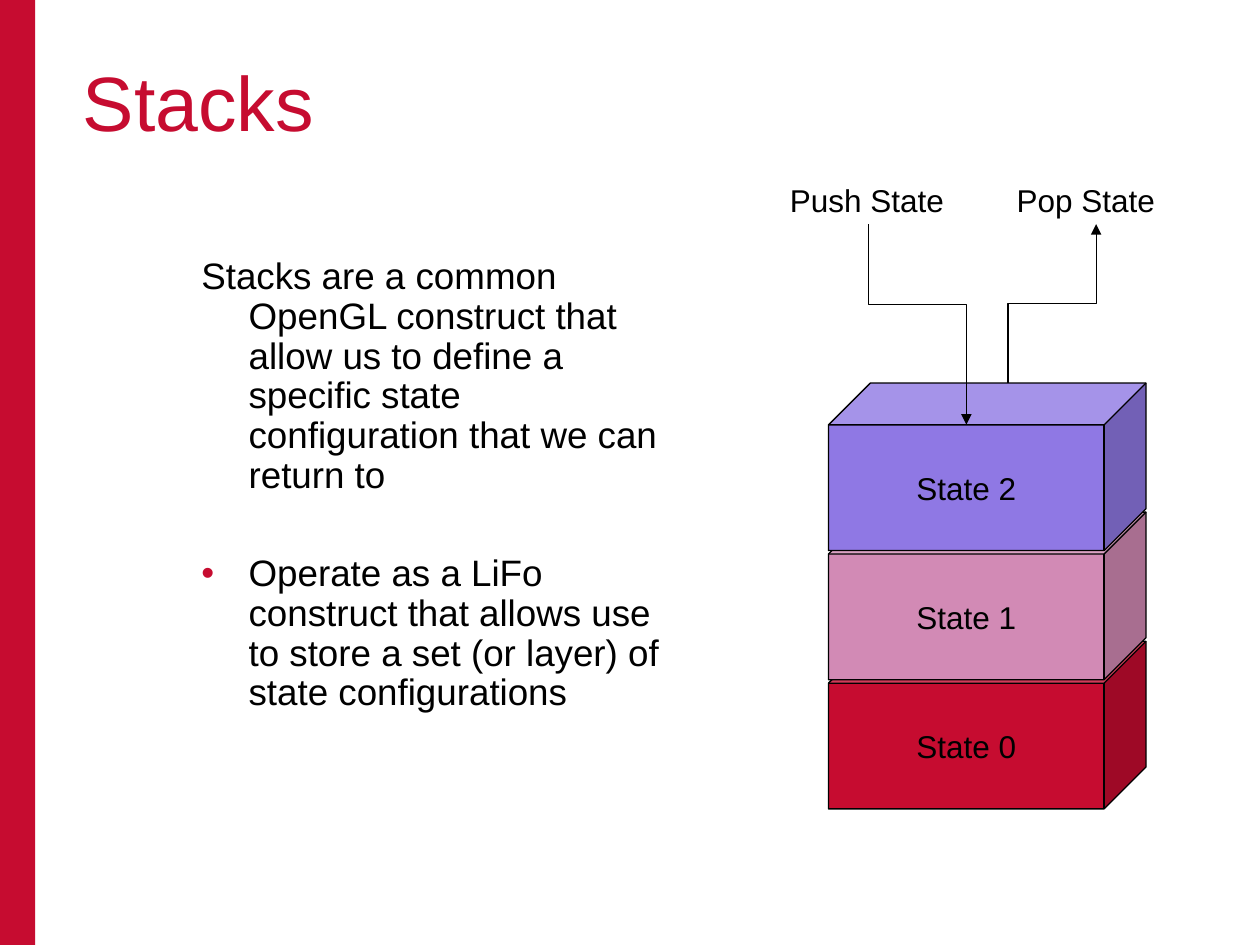
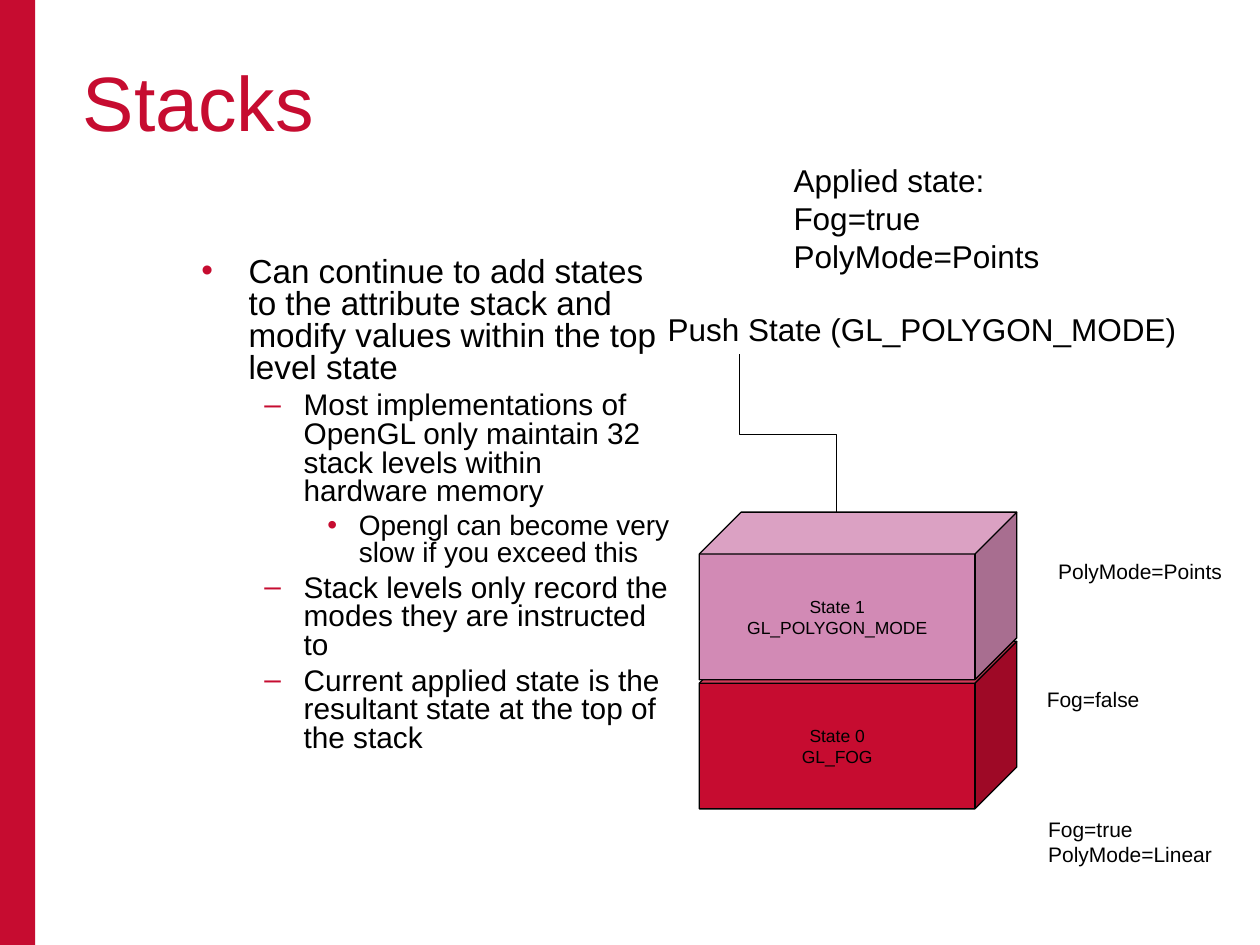
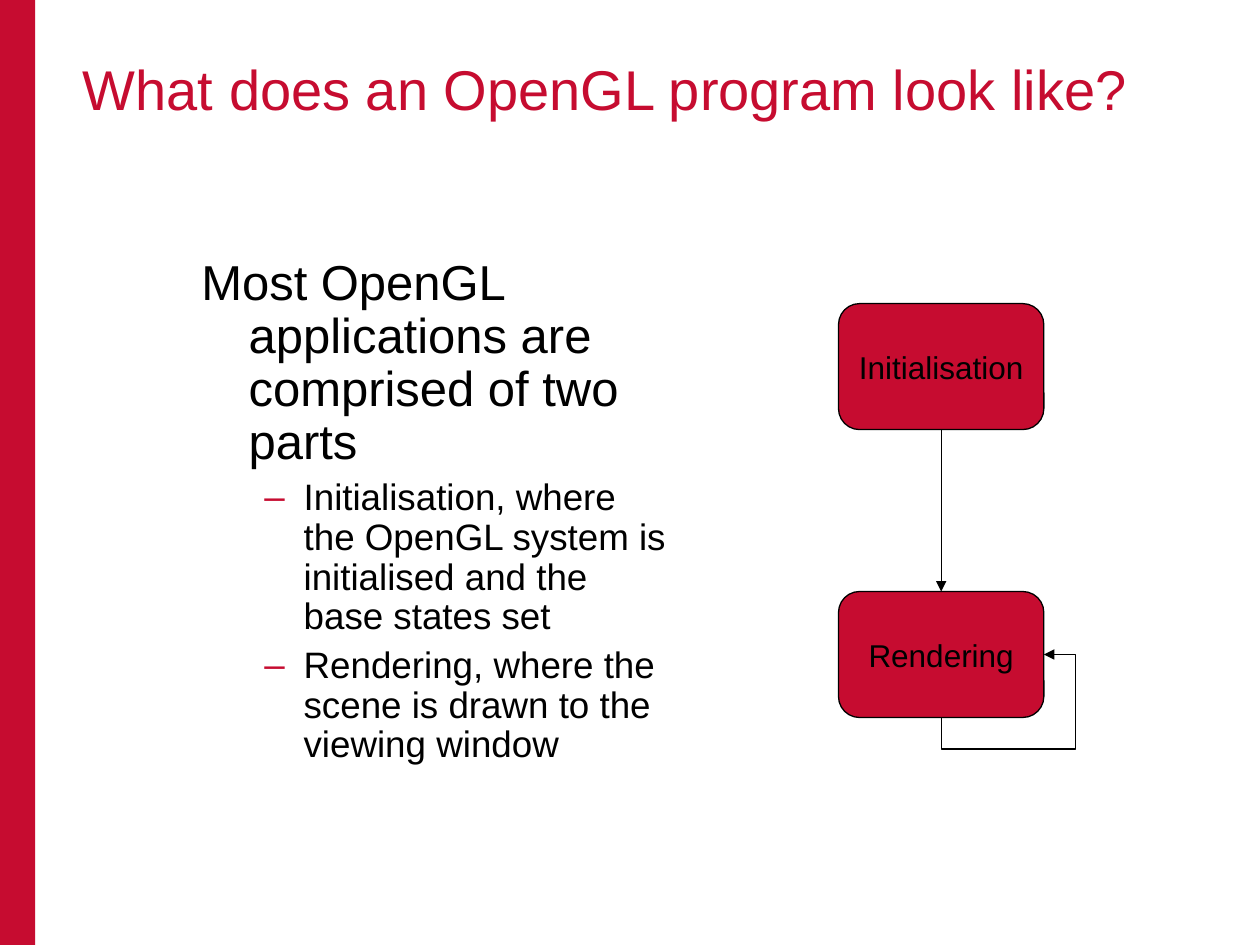
from lxml import etree
from pptx import Presentation
from pptx import util as u
from pptx.dml.color import RGBColor
from pptx.enum import shapes, text
from pptx.oxml.ns import qn

RED, PINK, VIOLET, BLACK = "C60C30", "D28AB5", "8F78E4", "000000"
COLUMNS, ROWS = 100, 75
CUBE_LEFT, CUBE_TOP, CUBE_STEP = 65.75, 50.9, 10.25
# Indent and hanging first line of each outline level, in grid columns
INDENTS = [(3.75, 3.75), (8.12, 3.12), (12.5, 2.5)]
BULLETS = ["•", "–", "•"]


def color(value):
    """Turn a hex string into a colour."""
    return RGBColor.from_string(value)


class Deck:
    """Holds the shared style and the current slide."""

    font = "Arial"
    line_width = 0.74

    def __init__(self):
        """Open an empty deck of 10 by 7.5 inches."""
        self.file = Presentation()
        self.file.slide_width = u.Inches(10)
        self.file.slide_height = u.Inches(7.5)
        self.page = None

    def x(self, columns):
        """Convert grid columns to a length."""
        return round(self.file.slide_width * columns / COLUMNS)

    def y(self, rows):
        """Convert grid rows to a length."""
        return round(self.file.slide_height * rows / ROWS)

    def place(self, left, top, width, height):
        """Convert a grid rectangle to lengths."""
        return self.x(left), self.y(top), self.x(width), self.y(height)

    def start_page(self, title, size=44):
        """Add a slide with its side band and title."""
        self.page = self.file.slides.add_slide(self.file.slide_layouts[6])
        self.shape(shapes.MSO_SHAPE.RECTANGLE, (0, 0, 2.8, ROWS), RED, outlined=False)
        self.label(title, (5.6, 3.8, 89.4, 16.1), size, RED, wrap=True)

    def style(self, para, size, ink=BLACK):
        """Format every run of a paragraph."""
        for span in para.runs:
            span.font.name = self.font
            span.font.size = u.Pt(size)
            span.font.color.rgb = color(ink)

    def label(self, words, area, size, ink=BLACK, wrap=False):
        """Add plain text, one paragraph per line."""
        box = self.page.shapes.add_textbox(*self.place(*area))
        frame = box.text_frame
        frame.text = words
        frame.word_wrap = wrap
        if not wrap:
            frame.auto_size = text.MSO_AUTO_SIZE.SHAPE_TO_FIT_TEXT
        for para in frame.paragraphs:
            self.style(para, size, ink)

    def outline(self, items, spacing):
        """Add the body text from (words, level, bulleted, size, space before)."""
        box = self.page.shapes.add_textbox(*self.place(15, 20, 39.3, 45))
        frame = box.text_frame
        frame.word_wrap = True
        frame.text = "\n".join(item[0] for item in items)
        for para, (_, level, bulleted, size, before) in zip(frame.paragraphs, items):
            para.level = level
            para.line_spacing = spacing
            para.space_before = u.Pt(before)
            self.style(para, size)
            margin, hanging = INDENTS[level]
            properties = para._p.get_or_add_pPr()
            properties.set("marL", str(self.x(margin)))
            properties.set("indent", str(-self.x(hanging)))
            if bulleted:
                tint = etree.SubElement(properties, qn("a:buClr"))
                etree.SubElement(tint, qn("a:srgbClr")).set("val", RED)
                etree.SubElement(properties, qn("a:buFont")).set("typeface", self.font)
                etree.SubElement(properties, qn("a:buChar")).set("char", BULLETS[level])

    def shape(self, kind, area, fill, words="", size=18, outlined=True):
        """Add a filled preset shape with centred text."""
        shape = self.page.shapes.add_shape(kind, *self.place(*area))
        shape.shadow.inherit = False
        shape.fill.solid()
        shape.fill.fore_color.rgb = color(fill)
        if outlined:
            shape.line.color.rgb = color(BLACK)
            shape.line.width = u.Pt(self.line_width)
        else:
            shape.line.fill.background()
        if words:
            frame = shape.text_frame
            frame.text = words
            frame.word_wrap = False
            frame.vertical_anchor = text.MSO_ANCHOR.MIDDLE
            for para in frame.paragraphs:
                para.alignment = text.PP_ALIGN.CENTER
                self.style(para, size)

    def cube(self, left, level, fill, words, size=18):
        """Add one state of the stack, counted from the bottom."""
        area = (left, CUBE_TOP - level * CUBE_STEP, 25.2, 13.3)
        self.shape(shapes.MSO_SHAPE.CUBE, area, fill, words, size)

    def arrow(self, start, end, *bends):
        """Add an elbow arrow that leaves its start vertically."""
        (x1, y1), (x2, y2) = start, end
        # A quarter turn swaps the sides around the common centre
        length, breadth = abs(y2 - y1), abs(x2 - x1)
        link = self.page.shapes.add_connector(shapes.MSO_CONNECTOR.ELBOW, 0, 0, 0, 0)
        link.left, link.top, link.width, link.height = self.place(
            (x1 + x2 - length) / 2, (y1 + y2 - breadth) / 2, length, breadth)
        link.line.color.rgb = color(BLACK)
        link.line.width = u.Pt(self.line_width)
        properties = link._element.spPr
        frame = properties.find(qn("a:xfrm"))
        frame.set("rot", str(90 * 60000))
        frame.set("flipH", str(int(y2 < y1)))
        frame.set("flipV", str(int(x2 > x1)))
        geometry = properties.find(qn("a:prstGeom"))
        geometry.set("prst", f"bentConnector{len(bends) + 2}")
        guides = geometry.find(qn("a:avLst"))
        if guides is None:
            guides = etree.SubElement(geometry, qn("a:avLst"))
        for number, bend in enumerate(bends, 1):
            guide = etree.SubElement(guides, qn("a:gd"))
            guide.set("name", f"adj{number}")
            guide.set("fmla", f"val {round(bend * 100000)}")
        line = properties.find(qn("a:ln"))
        etree.SubElement(line, qn("a:tailEnd")).set("type", "triangle")
        etree.SubElement(properties, qn("a:effectLst"))


def stack_page(deck):
    """Build the slide that introduces stacks."""
    deck.start_page("Stacks")
    deck.outline([
        ("Stacks are a common OpenGL construct that allow us to define a specific "
         "state configuration that we can return to", 0, False, 21, 5.2),
        ("Operate as a LiFo construct that allows use to store a set (or layer) of "
         "state configurations", 0, True, 21, 33.5),
    ], 0.9)
    for level, fill in enumerate([RED, PINK, VIOLET]):
        deck.cube(CUBE_LEFT, level, fill, f"State {level}")
    deck.arrow((68.9, 17.8), (76.7, 33.7), 0.4)
    deck.label("Push State", (61.7, 13.9, 14.2, 4), 18)
    deck.arrow((80, 30.4), (87, 17.8), 0.5)
    deck.label("Pop State", (79.7, 13.9, 13, 4), 18)


def attribute_page(deck):
    """Build the slide about the attribute stack."""
    deck.start_page("Stacks")
    deck.outline([
        ("Can continue to add states to the attribute stack and modify values "
         "within the top level state", 0, True, 19, 4.8),
        ("Most implementations of OpenGL only maintain 32 stack levels within "
         "hardware memory", 1, True, 17, 4.2),
        ("Opengl can become very slow if you exceed this", 2, True, 16, 4),
        ("Stack levels only record the modes they are instructed to", 1, True, 17, 4.2),
        ("Current applied state is the resultant state at the top of the stack",
         1, True, 17, 4.2),
    ], 0.8)
    deck.label("Fog=true\nPolyMode=Linear", (82.2, 64.3, 15.1, 5), 12)
    deck.label("Fog=false", (82.1, 54, 9.6, 3), 12)
    deck.arrow((58.7, 28.1), (66.4, 44), 0.4)
    deck.label("Push State (GL_POLYGON_MODE)", (52, 24.1, 42.5, 4), 18)
    deck.label("PolyMode=Points", (83, 43.8, 15.1, 3), 12)
    for level, (fill, mode) in enumerate([(RED, "GL_FOG"), (PINK, "GL_POLYGON_MODE")]):
        deck.cube(CUBE_LEFT - CUBE_STEP, level, fill, f"State {level}\n{mode}", 10)
    deck.label("Applied state:\nFog=true\nPolyMode=Points", (62, 12.3, 21.6, 10), 18)


def program_page(deck):
    """Build the slide about the parts of a program."""
    deck.start_page("What does an OpenGL program look like?", 32)
    deck.outline([
        ("Most OpenGL applications are comprised of two parts", 0, False, 28, 7),
        ("Initialisation, where the OpenGL system is initialised and the base "
         "states set", 1, True, 21, 5.2),
        ("Rendering, where the scene is drawn to the viewing window", 1, True, 21, 5.2),
    ], 0.9)
    left, width, height = 66.55, 16.3, 10
    tops = {"Initialisation": 24.1, "Rendering": 46.95}
    for part, top in tops.items():
        deck.shape(shapes.MSO_SHAPE.ROUNDED_RECTANGLE, (left, top, width, height), RED, part)
    middle, top = left + width / 2, tops["Rendering"]
    deck.arrow((middle, tops["Initialisation"] + height), (middle, top), 0.5)
    deck.arrow((middle, top + height), (left + width, top + height / 2), -0.5, 1.31)


deck = Deck()
stack_page(deck)
attribute_page(deck)
program_page(deck)
deck.file.save("out.pptx")
